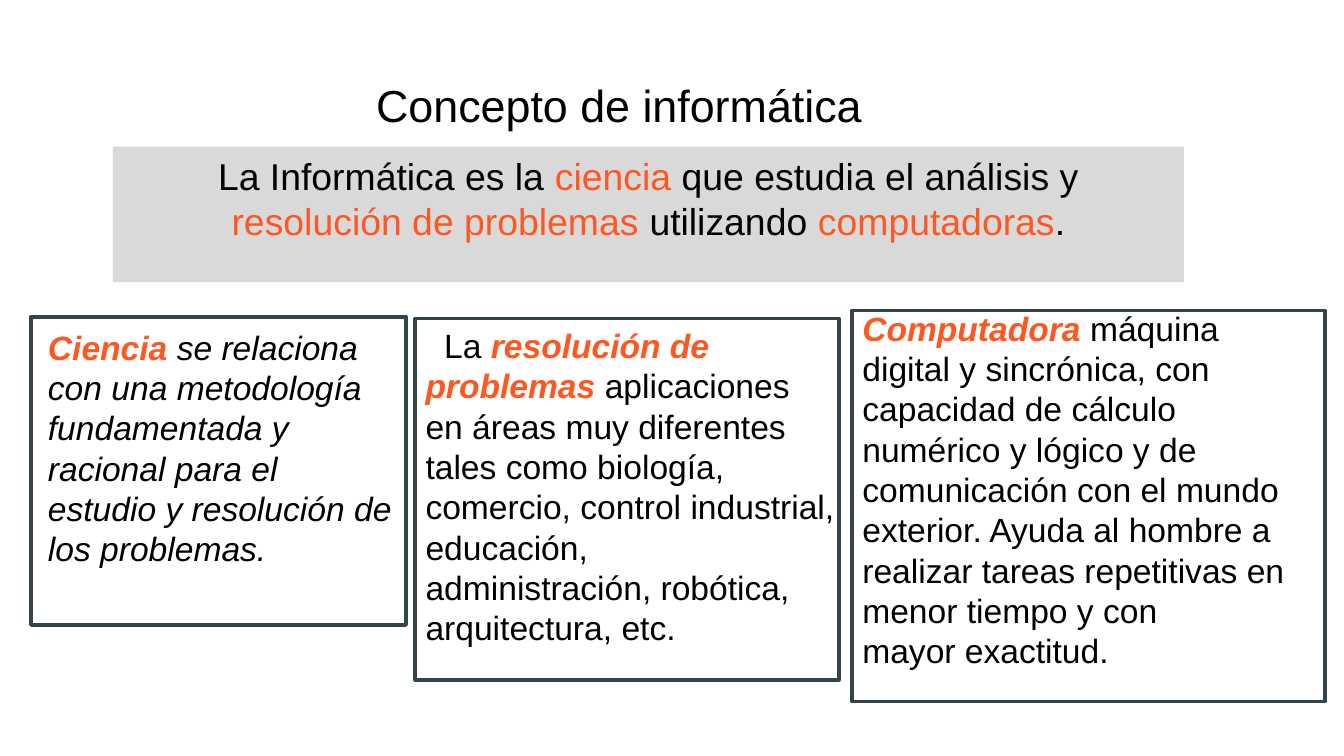
from dataclasses import dataclass

from lxml import etree
from pptx import Presentation
from pptx.dml.color import RGBColor
from pptx.enum.shapes import MSO_SHAPE
from pptx.enum.text import MSO_ANCHOR, MSO_AUTO_SIZE, PP_ALIGN
from pptx.oxml.ns import qn
from pptx.shapes.base import BaseShape
from pptx.slide import Slide
from pptx.util import Pt

BLACK = RGBColor(0x00, 0x00, 0x00)
ORANGE = RGBColor(0xFF, 0x57, 0x22)
GRAY = RGBColor(0xD9, 0xD9, 0xD9)
SLATE = RGBColor(0x33, 0x43, 0x4A)

RECTANGLE = MSO_SHAPE.RECTANGLE
TOP = MSO_ANCHOR.TOP
NO_AUTOFIT = MSO_AUTO_SIZE.NONE
LEFT = PP_ALIGN.LEFT
CENTER = PP_ALIGN.CENTER

FONT = "Arial"
LINE_HEIGHT = 1.2
TITLE_SIZE, DEFINITION_SIZE, CARD_SIZE = 24, 20, 18


@dataclass(frozen=True)
class Area:
    left: float
    top: float
    width: float
    height: float


@dataclass(frozen=True)
class Span:
    text: str
    color: RGBColor = BLACK
    bold: bool = False
    italic: bool = False


@dataclass(frozen=True)
class Card:
    text_area: Area
    frame_area: Area
    spans: list[Span]
    first_indent: float = 0


def term(text: str) -> Span:
    return Span(text, ORANGE, bold=True, italic=True)


TITLE_AREA = Area(32.4, 38.2, 598.3, 53.3)
DEFINITION_AREA = Area(60.5, 78.5, 573.8, 72.7)

TITLE = [Span("Concepto de informática")]
DEFINITION = [
    Span("La Informática es la "),
    Span("ciencia", ORANGE),
    Span(" que estudia el análisis y\n"),
    Span("resolución de problemas ", ORANGE),
    Span("utilizando "),
    Span("computadoras", ORANGE),
    Span("."),
]
CARDS = [
    Card(
        Area(18.7, 171.4, 198.7, 159.8),
        Area(16.6, 169.9, 200.9, 164.9),
        [
            term("Ciencia "),
            Span("se relaciona con una metodología fundamentada y racional "
                 "para el estudio y resolución de los problemas.", italic=True),
        ],
    ),
    Card(
        Area(221, 170.6, 233.3, 198.7),
        Area(222.5, 170.6, 226.8, 193.7),
        [
            Span("La "),
            term("resolución de problemas "),
            Span("aplicaciones en áreas muy diferentes tales como biología, "
                 "comercio, control industrial, educación,\n"
                 "administración, robótica,\narquitectura, etc."),
        ],
        first_indent=10,
    ),
    Card(
        Area(455, 161.3, 253.4, 220.3),
        Area(456.5, 166.3, 253.4, 209.5),
        [
            term("Computadora "),
            Span("máquina digital y sincrónica, con\n"
                 "capacidad de cálculo numérico y lógico y de\n"
                 "comunicación con el mundo exterior. Ayuda al hombre a\n"
                 "realizar tareas repetitivas en menor tiempo y con\n"
                 "mayor exactitud."),
        ],
    ),
]


def place(shape: BaseShape, area: Area) -> None:
    shape.left, shape.top = Pt(area.left), Pt(area.top)
    shape.width, shape.height = Pt(area.width), Pt(area.height)


def write_text(shape: BaseShape, spans: list[Span], size: float,
               alignment: PP_ALIGN, first_indent: float = 0) -> None:
    """Fill the shape with one unbulleted paragraph of formatted spans."""
    frame = shape.text_frame
    frame.word_wrap = True
    frame.auto_size = NO_AUTOFIT
    frame.vertical_anchor = TOP
    frame.margin_left = frame.margin_right = Pt(7)
    frame.margin_top = frame.margin_bottom = Pt(3.6)

    para = frame.paragraphs[0]
    para.alignment = alignment
    para.line_spacing = Pt(size * LINE_HEIGHT)
    para.space_before = para.space_after = Pt(0)
    properties = para._p.get_or_add_pPr()
    properties.set("marL", "0")
    properties.set("indent", str(int(Pt(first_indent))))
    etree.SubElement(properties, qn("a:buNone"))

    for span in spans:
        for number, line in enumerate(span.text.split("\n")):
            if number:
                para.add_line_break()
            if not line:
                continue
            run = para.add_run()
            run.text = line
            run.font.name = FONT
            run.font.size = Pt(size)
            run.font.bold = span.bold
            run.font.italic = span.italic
            run.font.color.rgb = span.color


def draw_frame(slide: Slide, area: Area) -> None:
    frame = slide.shapes.add_shape(RECTANGLE, 0, 0, 0, 0)
    place(frame, area)
    frame.shadow.inherit = False
    frame.fill.background()
    frame.line.color.rgb = SLATE
    frame.line.width = Pt(2)


def draw_card(slide: Slide, card: Card) -> None:
    box = slide.shapes.add_textbox(0, 0, 0, 0)
    place(box, card.text_area)
    write_text(box, card.spans, CARD_SIZE, LEFT, card.first_indent)
    draw_frame(slide, card.frame_area)


def main() -> None:
    deck = Presentation()
    deck.slide_width, deck.slide_height = Pt(720), Pt(405)
    slide = deck.slides.add_slide(deck.slide_layouts[1])

    title = slide.shapes.title
    place(title, TITLE_AREA)
    write_text(title, TITLE, TITLE_SIZE, CENTER)

    definition = slide.placeholders[1]
    place(definition, DEFINITION_AREA)
    definition.fill.solid()
    definition.fill.fore_color.rgb = GRAY
    write_text(definition, DEFINITION, DEFINITION_SIZE, CENTER)

    for card in CARDS:
        draw_card(slide, card)

    deck.save("out.pptx")


if __name__ == "__main__":
    main()
